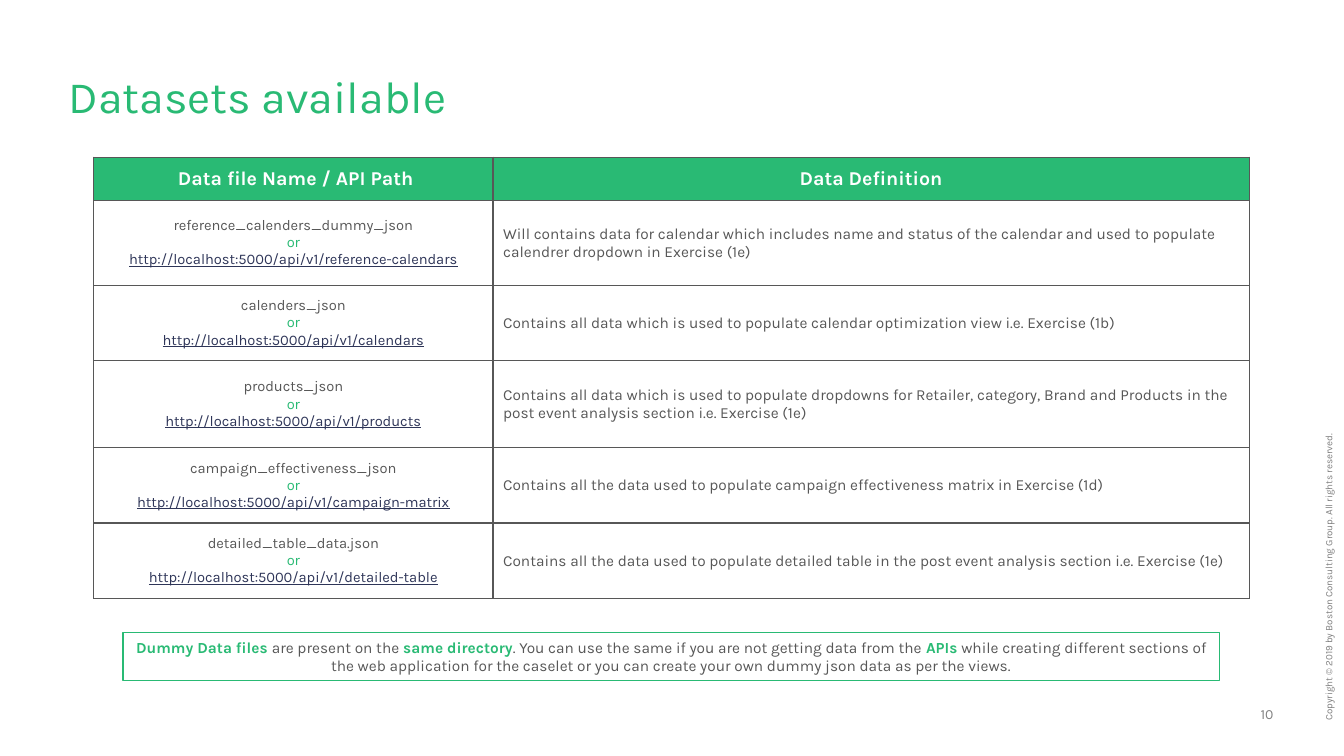
from lxml import etree
from pptx import Presentation
from pptx.dml.color import RGBColor
from pptx.enum.shapes import MSO_SHAPE
from pptx.enum.text import MSO_ANCHOR, MSO_AUTO_SIZE, PP_ALIGN
from pptx.oxml.ns import qn
from pptx.util import Inches, Pt

LEFT, CENTER, RIGHT = PP_ALIGN.LEFT, PP_ALIGN.CENTER, PP_ALIGN.RIGHT
TOP, MIDDLE, BOTTOM = MSO_ANCHOR.TOP, MSO_ANCHOR.MIDDLE, MSO_ANCHOR.BOTTOM
RECTANGLE = MSO_SHAPE.RECTANGLE
NO_AUTOFIT = MSO_AUTO_SIZE.NONE

COLORS = {"green": "29BA74", "text": "575757", "link": "2E3558",
          "white": "FFFFFF", "muted": "808080"}
FONT = "Karla"

TITLE = "Datasets available"
PAGE_NUMBER = "10"
COPYRIGHT = "Copyright © 2019 by Boston Consulting Group. All rights reserved."
HEADERS = [" Data file Name / API Path", "Data Definition"]
API_ROOT = "http://localhost:5000/api/v1/"
DATASETS = [
    ("reference_calenders_dummy_json", "reference-calendars",
     "Will contains data for calendar which includes name and status of the calendar "
     "and used to populate calendrer dropdown in Exercise (1e)"),
    ("calenders_json", "calendars",
     "Contains all data which is used to populate calendar optimization view i.e. Exercise (1b)"),
    ("products_json", "products",
     "Contains all data which is used to populate dropdowns for Retailer, category, "
     "Brand and Products in the post event analysis section i.e. Exercise (1e)"),
    ("campaign_effectiveness_json", "campaign-matrix",
     "Contains all the data used to populate campaign effectiveness matrix in Exercise (1d)"),
    ("detailed_table_data.json", "detailed-table",
     "Contains all the data used to populate detailed table in the post event analysis "
     "section i.e. Exercise (1e)"),
]
COLUMN_WIDTHS = [3.96, 7.5]
ROW_HEIGHTS = [0.43, 0.84, 0.75, 0.86, 0.75, 0.75]

HEADER = {"size": Pt(14), "color": "white", "bold": True}
FILE_NAME = {"size": Pt(10.5), "color": "text", "bold": False}
OR_WORD = {**FILE_NAME, "color": "green"}
LINK = {**FILE_NAME, "color": "link", "underline": True}
BODY = {"size": Pt(11), "color": "text", "bold": False}
STRONG = {"size": Pt(11), "color": "green", "bold": True}
NOTE = [
    ("Dummy Data files ", STRONG),
    ("are present on the ", BODY),
    ("same directory", STRONG),
    (". You can use the same if you are not getting data from the ", BODY),
    ("APIs", STRONG),
    (" while creating different sections of the web application for the caselet "
     "or you can create your own dummy json data as per the views.", BODY),
]


def rgb(name):
    return RGBColor.from_string(COLORS[name])


def write(frame, paragraphs, align=LEFT, anchor=TOP, spacing=None):
    frame.word_wrap = True
    frame.vertical_anchor = anchor
    for index, spans in enumerate(paragraphs):
        para = frame.add_paragraph() if index else frame.paragraphs[0]
        para.alignment = align
        if spacing:
            para.line_spacing = spacing
        for text, style in spans:
            span = para.add_run()
            span.text = text
            span.font.name = FONT
            for key, value in style.items():
                if key == "color":
                    span.font.color.rgb = rgb(value)
                else:
                    setattr(span.font, key, value)


def clear_margins(frame):
    for side in ("left", "top", "right", "bottom"):
        setattr(frame, f"margin_{side}", 0)


def add_label(page, place, text, style, **layout):
    box = page.shapes.add_textbox(*map(Inches, place))
    clear_margins(box.text_frame)
    write(box.text_frame, [[(text, style)]], **layout)
    return box


def add_borders(cell):
    properties = cell._tc.get_or_add_tcPr()
    for index, side in enumerate(("lnL", "lnR", "lnT", "lnB")):
        line = etree.Element(qn(f"a:{side}"), w=str(Pt(1)))
        fill = etree.SubElement(line, qn("a:solidFill"))
        etree.SubElement(fill, qn("a:srgbClr"), val=COLORS["text"])
        properties.insert(index, line)


def add_dataset_table(page):
    rows = [([[(header, HEADER)]], CENTER) for header in HEADERS]
    grid = [rows]
    for name, endpoint, definition in DATASETS:
        source = [[(name, FILE_NAME)], [("or", OR_WORD)], [(API_ROOT + endpoint, LINK)]]
        grid.append([(source, CENTER), ([[(definition, BODY)]], LEFT)])

    place = (0.93, 1.56, sum(COLUMN_WIDTHS), sum(ROW_HEIGHTS))
    table = page.shapes.add_table(len(grid), len(HEADERS), *map(Inches, place)).table
    table.first_row = table.horz_banding = False
    for column, width in zip(table.columns, COLUMN_WIDTHS):
        column.width = Inches(width)
    for row, height in zip(table.rows, ROW_HEIGHTS):
        row.height = Inches(height)
    for row_index, contents in enumerate(grid):
        for column_index, (paragraphs, align) in enumerate(contents):
            cell = table.cell(row_index, column_index)
            write(cell.text_frame, paragraphs, align)
            cell.vertical_anchor = MIDDLE
            if row_index:
                cell.fill.background()
            else:
                cell.fill.solid()
                cell.fill.fore_color.rgb = rgb("green")
            add_borders(cell)


def add_note(page):
    box = page.shapes.add_shape(RECTANGLE, *map(Inches, (1.22, 6.27, 10.88, 0.48)))
    box.shadow.inherit = False
    box.fill.background()
    box.line.color.rgb = rgb("green")
    box.line.width = Pt(0.75)
    write(box.text_frame, [NOTE], CENTER, MIDDLE)


def main():
    deck = Presentation()
    deck.slide_width, deck.slide_height = Inches(13.33), Inches(7.5)
    page = deck.slides.add_slide(deck.slide_layouts[5])

    title = page.shapes.title
    title.left, title.top, title.width, title.height = map(Inches, (0.68, 0.74, 11.96, 0.48))
    clear_margins(title.text_frame)
    title.text_frame.auto_size = NO_AUTOFIT
    write(title.text_frame, [[(TITLE, {"size": Pt(32), "color": "green"})]], spacing=0.9)

    add_label(page, (12.21, 7, 0.42, 0.17), PAGE_NUMBER,
              {"size": Pt(10), "color": "muted"}, align=RIGHT, anchor=BOTTOM)
    rights = add_label(page, (10.38, 4.29, 5.61, 0.11), COPYRIGHT,
                       {"size": Pt(7), "color": "muted"}, spacing=0.9)
    rights.rotation = 270

    add_note(page)
    add_dataset_table(page)
    deck.save("out.pptx")


if __name__ == "__main__":
    main()
